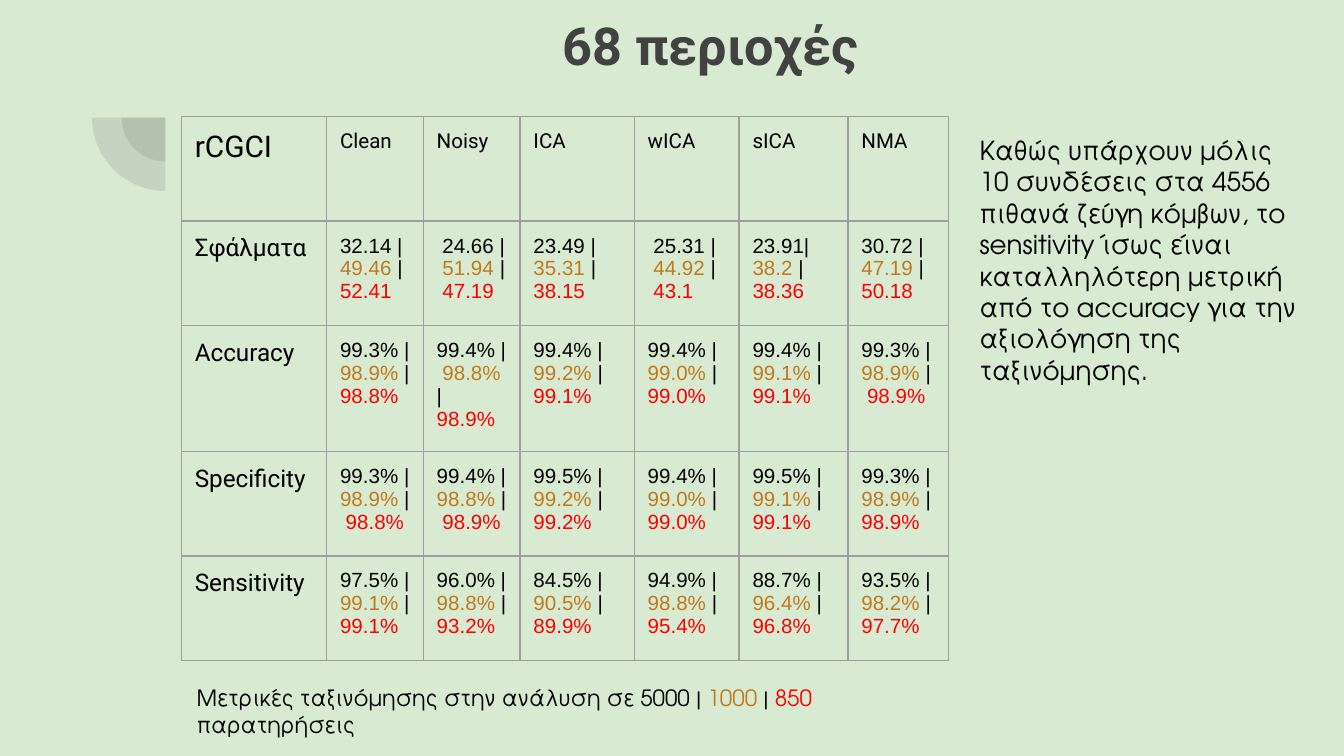
from lxml import etree
from pptx import Presentation
from pptx.dml.color import RGBColor
from pptx.enum.shapes import MSO_SHAPE
from pptx.enum.text import MSO_ANCHOR
from pptx.oxml.ns import qn
from pptx.util import Inches, Pt

BLANK = 6
PIE = MSO_SHAPE.PIE
TOP = MSO_ANCHOR.TOP

SLIDE_W = Inches(10)
SLIDE_H = SLIDE_W * 9 // 16
INSET = Inches(0.1)

THEME = {
    "background": "D9EAD3",
    "dark": "424242",
    "border": "9E9E9E",
    "black": "000000",
    "ochre": "C0791B",
    "red": "FF0000",
    "title": {"size": Pt(28), "name": "Roboto", "bold": True},
    "corner": {"size": Pt(16), "name": "Roboto"},
    "column": {"size": Pt(11), "name": "Roboto"},
    "metric": {"size": Pt(13), "name": "Roboto"},
    "value": {"size": Pt(11), "name": "Arial"},
    "remark": {"size": Pt(14), "name": "TeX Gyre Adventor"},
    "caption": {"size": Pt(12), "name": "TeX Gyre Adventor"},
}
SAMPLE_COLORS = ("black", "ochre", "red")

# Table content: \n starts a paragraph, \v breaks a line within one
METHODS = ["rCGCI", "Clean", "Noisy", "ICA", "wICA", "sICA", "NMA"]
RESULTS = [
    ["Σφάλματα", "32.14 |\n49.46 |\n52.41", " 24.66 |\n 51.94 |\n 47.19",
     "23.49 |\n35.31 |\n38.15", " 25.31 |\n 44.92 |\n 43.1",
     "23.91|\n38.2 |\n38.36", "30.72 |\n47.19 |\n50.18"],
    ["Accuracy", "99.3% | 98.9% | 98.8%", "99.4% |\v 98.8%\v|\v98.9%",
     "99.4% | 99.2% | 99.1%", "99.4% | 99.0% | 99.0%",
     "99.4% | 99.1% | 99.1%", "99.3% | 98.9% |\v 98.9%"],
    ["Specificity", "99.3% | 98.9% |\v 98.8%", "99.4% | 98.8% |\v 98.9%",
     "99.5% | 99.2% | 99.2%", "99.4% | 99.0% | 99.0%",
     "99.5% | 99.1% | 99.1%", "99.3% | 98.9% | 98.9%"],
    ["Sensitivity", "97.5% | 99.1% | 99.1%", "96.0% | 98.8% | 93.2%",
     "84.5% | 90.5% | 89.9%", "94.9% | 98.8% | 95.4%",
     "88.7% | 96.4% | 96.8%", "93.5% | 98.2% | 97.7%"],
]
COLUMN_SHARES = [10.8, 7.2, 7.2, 8.5, 7.8, 8.1, 7.5]
ROW_SHARE = 13.85

REMARK = ("Καθώς υπάρχουν μόλις 10 συνδέσεις στα 4556 πιθανά ζεύγη κόμβων, το "
          "sensitivity ίσως είναι καταλληλότερη μετρική από το accuracy για την "
          "αξιολόγηση της ταξινόμησης.")
CAPTION = [("Μετρικές ταξινόμησης στην ανάλυση σε 5000 | ", "black"),
           ("1000 ", "ochre"), ("| ", "black"), ("850 ", "red"),
           ("παρατηρήσεις", "black")]


def across(percent):
    return int(SLIDE_W * percent / 100)


def down(percent):
    return int(SLIDE_H * percent / 100)


def color(name):
    return RGBColor.from_string(THEME[name])


def set_insets(target):
    for side in ("left", "right", "top", "bottom"):
        setattr(target, f"margin_{side}", INSET)


def add_text(paragraph, text, style, color_name):
    for index, line in enumerate(text.split("\v")):
        if index:
            paragraph.add_line_break()
            line_break = paragraph._p.findall(qn("a:br"))[-1]
            etree.SubElement(line_break, qn("a:rPr"),
                             sz=str(int(THEME[style]["size"].pt * 100)))
        if line:
            run = paragraph.add_run()
            run.text = line
            for attribute, value in THEME[style].items():
                setattr(run.font, attribute, value)
            run.font.color.rgb = color(color_name)


def add_label(slide, box, pieces, style):
    x, y, width, height = box
    label = slide.shapes.add_textbox(across(x), down(y), across(width), down(height))
    frame = label.text_frame
    frame.word_wrap = True
    frame.vertical_anchor = TOP
    set_insets(frame)
    for text, color_name in pieces:
        add_text(frame.paragraphs[0], text, style, color_name)


def add_quarter(slide, center_x, center_y, diameter):
    size = across(diameter)
    quarter = slide.shapes.add_shape(
        PIE, across(center_x) - size // 2, down(center_y) - size // 2, size, size)
    quarter.adjustments[0] = 108
    quarter.adjustments[1] = 162
    quarter.rotation = 270
    quarter.shadow.inherit = False
    quarter.line.fill.background()
    quarter.fill.solid()
    quarter.fill.fore_color.rgb = color("dark")
    tint = quarter._element.spPr.find(qn("a:solidFill"))[0]
    etree.SubElement(tint, qn("a:alpha"), val="13000")


def add_borders(cell):
    properties = cell._tc.get_or_add_tcPr()
    for side in ("lnL", "lnR", "lnT", "lnB"):
        line = etree.SubElement(properties, qn(f"a:{side}"), w=str(int(Pt(0.75))))
        fill = etree.SubElement(line, qn("a:solidFill"))
        etree.SubElement(fill, qn("a:srgbClr"), val=THEME["border"])


def add_values(frame, text):
    """Colour each value by its sample size; the separators stay black."""
    sample = 0
    for index, line in enumerate(text.split("\n")):
        paragraph = frame.add_paragraph() if index else frame.paragraphs[0]
        for position, part in enumerate(line.split("|")):
            if position:
                add_text(paragraph, "|", "value", "black")
                sample += 1
            if part:
                add_text(paragraph, part, "value", SAMPLE_COLORS[sample])


def add_results(slide, x, y):
    rows = [METHODS] + RESULTS
    table = slide.shapes.add_table(
        len(rows), len(METHODS), across(x), down(y),
        across(sum(COLUMN_SHARES)), down(ROW_SHARE * len(rows))).table
    table.first_row = table.horz_banding = False
    for column, share in zip(table.columns, COLUMN_SHARES):
        column.width = across(share)
    for r, texts in enumerate(rows):
        table.rows[r].height = down(ROW_SHARE)
        for c, text in enumerate(texts):
            cell = table.cell(r, c)
            add_borders(cell)
            cell.fill.background()
            set_insets(cell)
            if r and c:
                add_values(cell.text_frame, text)
            else:
                style = "metric" if r else "column" if c else "corner"
                add_text(cell.text_frame.paragraphs[0], text, style, "black")


def main():
    deck = Presentation()
    deck.slide_width, deck.slide_height = SLIDE_W, SLIDE_H
    slide = deck.slides.add_slide(deck.slide_layouts[BLANK])
    slide.background.fill.solid()
    slide.background.fill.fore_color.rgb = color("background")

    # Concentric quarter circles
    for diameter in (6.5, 10.9):
        add_quarter(slide, 12.3, 15.57, diameter)

    # Title, results and comments
    add_label(slide, (40.85, 0, 39, 14.6), [("68 περιοχές", "dark")], "title")
    add_results(slide, 13.5, 15.4)
    add_label(slide, (71.9, 16, 25.9, 32.9), [(REMARK, "black")], "remark")
    add_label(slide, (13.65, 88.7, 57, 7.1), CAPTION, "caption")

    deck.save("out.pptx")


if __name__ == "__main__":
    main()
